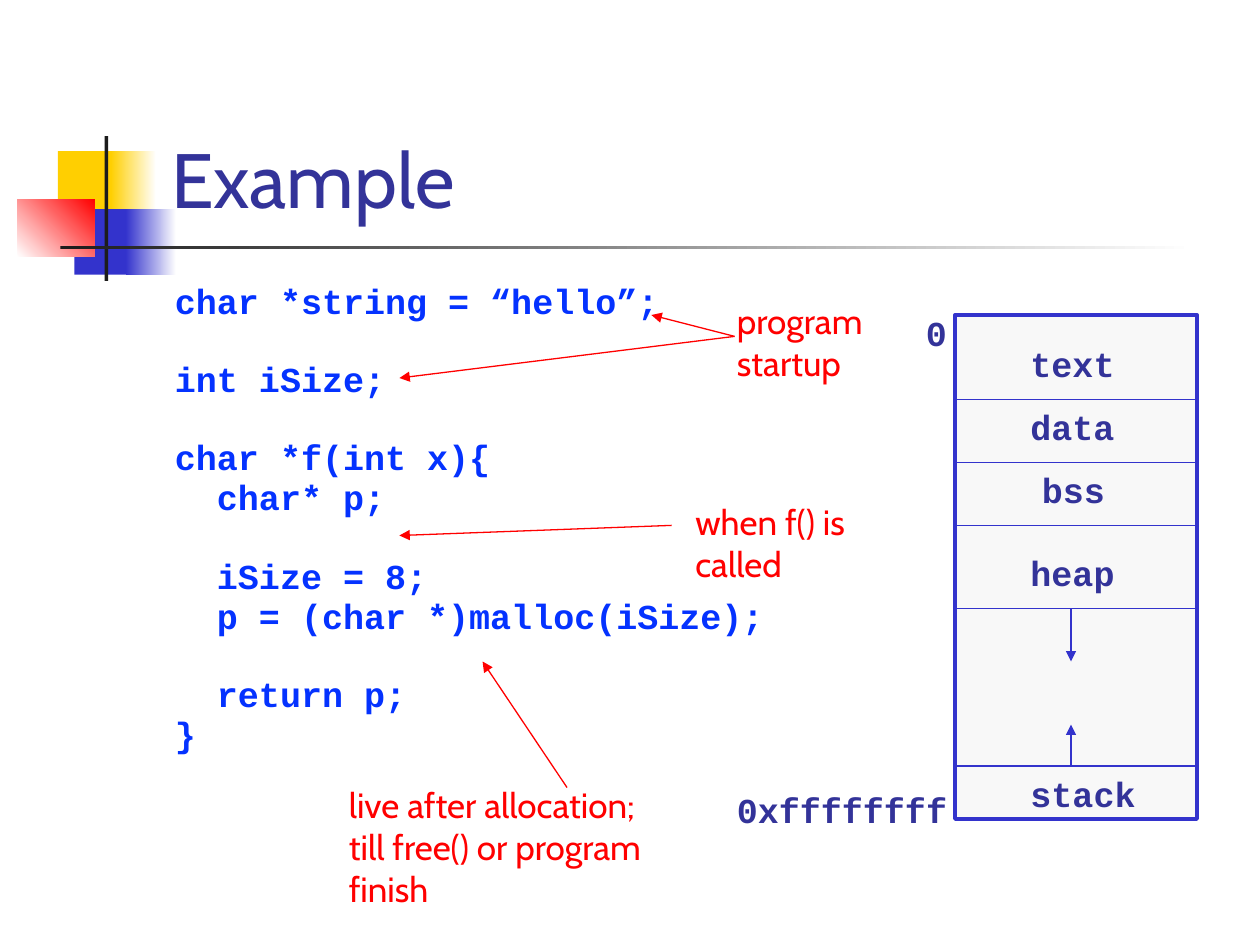
from lxml import etree
from pptx import Presentation
from pptx.dml.color import RGBColor
from pptx.enum.shapes import MSO_CONNECTOR, MSO_SHAPE
from pptx.enum.text import MSO_ANCHOR, MSO_AUTO_SIZE
from pptx.oxml.ns import qn
from pptx.util import Inches, Pt

RECTANGLE = MSO_SHAPE.RECTANGLE
STRAIGHT = MSO_CONNECTOR.STRAIGHT
TOP, BOTTOM = MSO_ANCHOR.TOP, MSO_ANCHOR.BOTTOM
FIT_TEXT = MSO_AUTO_SIZE.SHAPE_TO_FIT_TEXT

WHITE = RGBColor(0xFF, 0xFF, 0xFF)
YELLOW = RGBColor(0xFF, 0xCF, 0x01)
BLUE = RGBColor(0x33, 0x33, 0xCC)
RED = RGBColor(0xFF, 0x00, 0x00)
BLACK = RGBColor(0x1C, 0x1C, 0x1C)
NAVY = RGBColor(0x33, 0x33, 0x99)
CODE_BLUE = RGBColor(0x04, 0x32, 0xFF)
PALE = RGBColor(0xF8, 0xF8, 0xF8)

SANS, MONO = "Cabin", "Courier New"

# left, top, width, height, colours (two make a gradient), angle
ORNAMENTS = [
    (0.46, 1.2, 0.48, 0.52, [YELLOW], 0),
    (0.88, 1.2, 0.36, 0.52, [YELLOW, WHITE], 0),
    (0.59, 1.66, 0.46, 0.52, [BLUE], 0),
    (1.0, 1.66, 0.4, 0.52, [BLUE, WHITE], 0),
    (0.14, 1.58, 0.61, 0.46, [WHITE, RED], 45),
    (0.83, 1.08, 0.03, 1.15, [BLACK], 0),
    (0.48, 1.95, 9.0, 0.03, [BLACK, WHITE], 0),
]

# Blocks of code, set apart by one line
CODE = [
    ["char *string = “hello”;"],
    ["int iSize;"],
    ["char *f(int x){", "  char* p;"],
    ["  iSize = 8;", "  p = (char *)malloc(iSize);"],
    ["  return p;", "}"],
]
LINE_GAP, BLOCK_GAP = Pt(1.3), Pt(23)

MEMORY_LEFT, MEMORY_TOP, MEMORY_WIDTH, MEMORY_HEIGHT = 7.58, 2.5, 1.92, 4.0
DIVIDERS = [3.17, 3.67, 4.17, 4.83, 6.08]
GROWTH = [(4.83, 5.25), (6.08, 5.75)]
GROWTH_X = 8.5
LABEL_HEIGHT = 0.43
# text, left, top, width
MEMORY_LABELS = [
    ("0xffffffff", 5.75, 6.21, 1.87),
    ("0", 7.25, 2.42, 0.42),
    ("text", 8.08, 2.67, 1.08),
    ("data", 8.08, 3.17, 1.17),
    ("bss", 8.17, 3.67, 0.83),
    ("heap", 8.08, 4.33, 1.08),
    ("stack", 8.08, 6.08, 1.25),
]

# text, box, arrow start, arrow ends
NOTES = [
    ("program startup", (5.75, 2.33, 1.42, 0.77), (5.83, 2.67), [(5.17, 2.5), (3.17, 3.0)]),
    ("when f() is called", (5.42, 3.92, 1.42, 0.77), (5.33, 4.17), [(3.17, 4.25)]),
    ("live after allocation; till free() or program finish",
     (2.67, 6.17, 2.75, 1.1), (4.5, 6.25), [(3.83, 5.25)]),
]


def add_rectangle(shapes, place, colours, angle=0):
    """Fill with one colour, or with a gradient from the first to the second."""
    shape = shapes.add_shape(RECTANGLE, *map(Inches, place))
    shape.shadow.inherit = False
    shape.line.fill.background()
    if len(colours) == 1:
        shape.fill.solid()
        shape.fill.fore_color.rgb = colours[0]
    else:
        shape.fill.gradient()
        shape.fill.gradient_angle = angle
        for stop, colour in zip(shape.fill.gradient_stops, colours):
            stop.color.rgb = colour
    return shape


def add_line(shapes, start, end, colour, arrow=False):
    line = shapes.add_connector(STRAIGHT, *map(Inches, start + end))
    line.line.color.rgb = colour
    line.line.width = Pt(0.75)
    if arrow:
        etree.SubElement(line.line._get_or_add_ln(), qn("a:tailEnd"), type="triangle")
    etree.SubElement(line._element.spPr, qn("a:effectLst"))


def add_box(shapes, place, wrap=True, anchor=TOP):
    box = shapes.add_textbox(*map(Inches, place))
    box.text_frame.word_wrap = wrap
    box.text_frame.vertical_anchor = anchor
    return box


def add_span(para, text, font, colour, size=20):
    span = para.add_run()
    span.text = text
    span.font.name = font
    span.font.size = Pt(size)
    span.font.bold = font == MONO
    span.font.color.rgb = colour


def add_title(shapes):
    box = add_box(shapes, (1.26, 0.23, 8.52, 1.6), anchor=BOTTOM)
    add_span(box.text_frame.paragraphs[0], "Example", SANS, NAVY, 44)


def add_code(shapes):
    frame = add_box(shapes, (1.29, 2.21, 5.96, 4.5)).text_frame
    for block_number, block in enumerate(CODE):
        for line_number, text in enumerate(block):
            if block_number == line_number == 0:
                para = frame.paragraphs[0]
            else:
                para = frame.add_paragraph()
                para.space_before = LINE_GAP if line_number else BLOCK_GAP
            para.line_spacing = 0.9
            indent = Inches(0.38)
            properties = para._p.get_or_add_pPr()
            properties.set("marL", str(indent))
            properties.set("indent", str(-indent))
            add_span(para, text, MONO, CODE_BLUE)


def add_memory(shapes):
    memory = add_rectangle(
        shapes, (MEMORY_LEFT, MEMORY_TOP, MEMORY_WIDTH, MEMORY_HEIGHT), [PALE])
    memory.line.color.rgb = BLUE
    memory.line.width = Pt(2.25)
    for y in DIVIDERS:
        add_line(shapes, (MEMORY_LEFT, y), (MEMORY_LEFT + MEMORY_WIDTH, y), BLUE)
    for start, end in GROWTH:
        add_line(shapes, (GROWTH_X, start), (GROWTH_X, end), BLUE, arrow=True)
    for text, left, top, width in MEMORY_LABELS:
        box = add_box(shapes, (left, top, width, LABEL_HEIGHT), wrap=False)
        box.text_frame.auto_size = FIT_TEXT
        add_span(box.text_frame.paragraphs[0], text, MONO, NAVY)


def add_note(shapes, text, place, start, ends):
    group = shapes.add_group_shape()
    box = add_box(group.shapes, place)
    box.text_frame.auto_size = FIT_TEXT
    add_span(box.text_frame.paragraphs[0], text, SANS, RED)
    for end in ends:
        add_line(group.shapes, start, end, RED, arrow=True)


def main():
    deck = Presentation()
    deck.slide_width, deck.slide_height = Inches(10), Inches(7.5)
    page = deck.slides.add_slide(deck.slide_layouts[6])
    for *place, colours, angle in ORNAMENTS:
        add_rectangle(page.shapes, place, colours, angle)
    add_title(page.shapes)
    add_code(page.shapes)
    add_memory(page.shapes)
    for note in NOTES:
        add_note(page.shapes, *note)
    deck.save("out.pptx")


if __name__ == "__main__":
    main()
